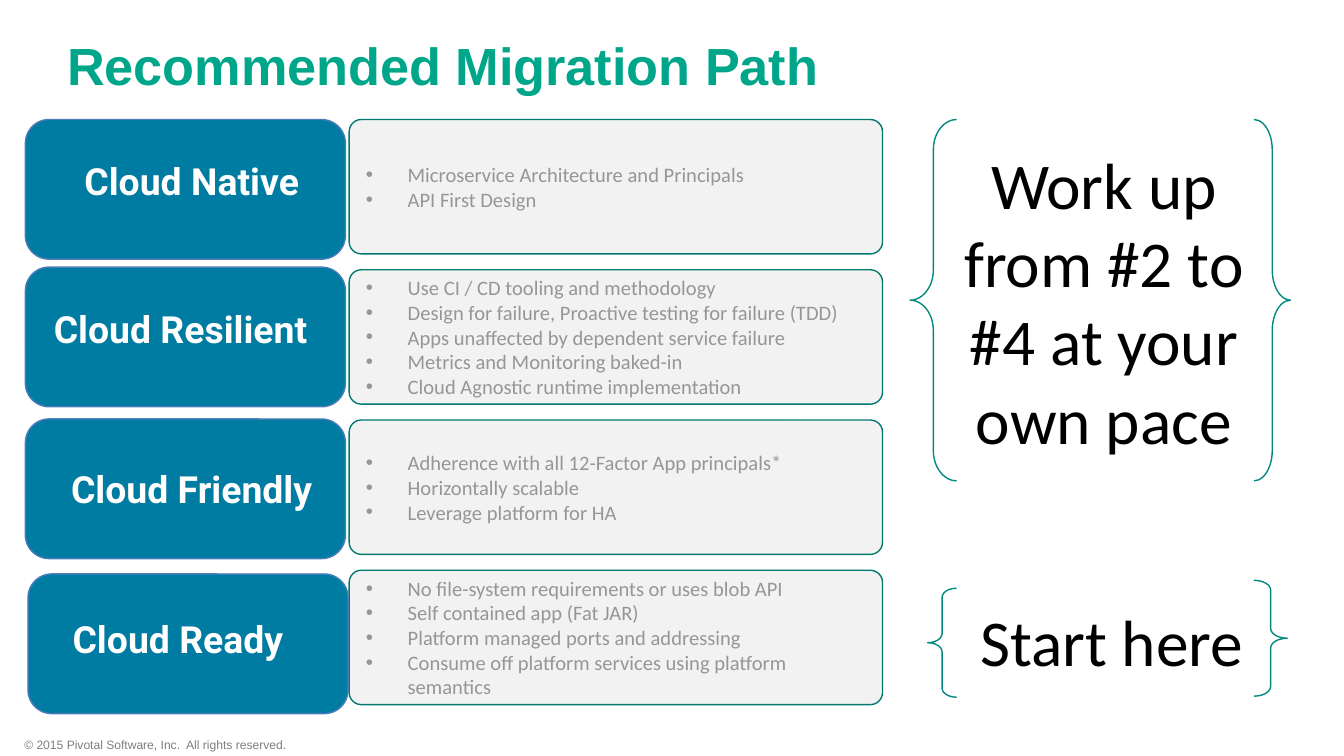
from pptx import Presentation
from pptx.dml.color import RGBColor
from pptx.enum.shapes import MSO_SHAPE as Shape
from pptx.enum.text import MSO_ANCHOR as Anchor, PP_ALIGN as Align
from pptx.oxml.ns import qn
from pptx.util import Cm, Pt
from lxml.etree import SubElement

TITLE = "Recommended Migration Path"
COPYRIGHT = "© 2015 Pivotal Software, Inc.  All rights reserved."

# Stage name, tile (left, top), label (left, top), practices
STAGES = [
    ("Cloud Native", (0.48, 2.26), (0.74, 2.31), [
        "Microservice Architecture and Principals",
        "API First Design",
    ]),
    ("Cloud Resilient", (0.48, 5.05), (0.53, 5.11), [
        "Use CI / CD tooling and methodology",
        "Design for failure, Proactive testing for failure (TDD)",
        "Apps unaffected by dependent service failure",
        "Metrics and Monitoring baked-in",
        "Cloud Agnostic runtime implementation",
    ]),
    ("Cloud Friendly", (0.48, 7.92), (0.74, 8.13), [
        "Adherence with all 12-Factor App principals*",
        "Horizontally scalable",
        "Leverage platform for HA",
    ]),
    ("Cloud Ready", (0.53, 10.85), (0.48, 10.97), [
        "No file-system requirements or uses blob API",
        "Self contained app (Fat JAR)",
        "Platform managed ports and addressing",
        "Consume off platform services using platform semantics",
    ]),
]

# Text and its box
ADVICE = [
    ("Work up from #2 to #4 at your own pace", (17.73, 2.59, 6.27, 6.17)),
    ("Start here", (18.21, 11.23, 5.61, 1.73)),
]

# Brace, box, curl
BRACES = [
    (Shape.LEFT_BRACE, (17.2, 2.26, 0.88, 6.83), 0.65),
    (Shape.RIGHT_BRACE, (23.7, 2.26, 0.69, 6.83), 0.83),
    (Shape.RIGHT_BRACE, (23.7, 10.97, 0.63, 2.19), 0.29),
    (Shape.LEFT_BRACE, (17.53, 11.12, 0.55, 2.06), 0.31),
]

CARD_LEFT, CARD_TOP, CARD_PITCH = 6.6, 2.26, 2.84
CARD_SIZE = (10.08, 2.54)
TILE_SIZE = (6.05, 2.64)
LABEL_SIZE = (5.77, 2.21)
BULLET_INDENT = Cm(0.79)


def color(hex_string):
    return RGBColor.from_string(hex_string)


def style_font(paragraph, name, size, hex_string, bold=False):
    font = paragraph.font
    font.name, font.size, font.bold = name, Pt(size), bold
    font.color.rgb = color(hex_string)


def add_text(slide, text, box, font, align=Align.LEFT, anchor=Anchor.TOP,
             margins=(0.25, 0.13)):
    """Add a one-paragraph text box; margins are (sides, top and bottom)."""
    frame = slide.shapes.add_textbox(*map(Cm, box)).text_frame
    frame.word_wrap = True
    frame.vertical_anchor = anchor
    frame.margin_left = frame.margin_right = Cm(margins[0])
    frame.margin_top = frame.margin_bottom = Cm(margins[1])
    paragraph = frame.paragraphs[0]
    paragraph.text = text
    paragraph.alignment = align
    style_font(paragraph, *font)


def add_outline(slide, kind, box, curve, line, fill=None):
    """Add a preset shape whose first adjustment is curve."""
    shape = slide.shapes.add_shape(kind, *map(Cm, box))
    shape.shadow.inherit = False
    shape.adjustments[0] = curve
    shape.line.color.rgb = color(line)
    shape.line.width = Pt(0.75)
    if fill:
        shape.fill.solid()
        shape.fill.fore_color.rgb = color(fill)
    else:
        shape.fill.background()
    return shape


def add_bullets(shape, items):
    frame = shape.text_frame
    frame.word_wrap = True
    frame.vertical_anchor = Anchor.MIDDLE
    for index, item in enumerate(items):
        paragraph = frame.add_paragraph() if index else frame.paragraphs[0]
        paragraph.text = item
        paragraph.alignment = Align.LEFT
        properties = paragraph._p.get_or_add_pPr()
        properties.set("marL", str(BULLET_INDENT))
        properties.set("indent", str(-BULLET_INDENT))
        SubElement(properties, qn("a:buFont"), typeface="Arial")
        SubElement(properties, qn("a:buChar"), char="•")
        style_font(paragraph, "Calibri", 11, "969696")


def main():
    presentation = Presentation()
    presentation.slide_width = Cm(25.4)
    presentation.slide_height = Cm(14.29)
    slide = presentation.slides.add_slide(presentation.slide_layouts[6])

    add_text(slide, COPYRIGHT, (0.46, 13.94, 6.32, 0.28),
             ("Arial", 6.5, "7F7F7F"), margins=(0, 0))
    add_text(slide, TITLE, (1.02, 0.48, 23.37, 1.5),
             ("Arial", 28, "00A689", True), anchor=Anchor.MIDDLE,
             margins=(0.25, 0.25))

    for text, box in ADVICE:
        add_text(slide, text, box, ("Calibri", 35, "000000"), Align.CENTER)
    for kind, box, curl in BRACES:
        add_outline(slide, kind, box, curl, "008881")

    for row, (name, tile, label, practices) in enumerate(STAGES):
        card_box = (CARD_LEFT, CARD_TOP + row * CARD_PITCH, *CARD_SIZE)
        card = add_outline(slide, Shape.ROUNDED_RECTANGLE, card_box, 0.09,
                           "00796E", "F2F2F2")
        add_bullets(card, practices)
        add_outline(slide, Shape.ROUNDED_RECTANGLE, (*tile, *TILE_SIZE), 0.17,
                    "4A7DBA", "007CA2")
        add_text(slide, name, (*label, *LABEL_SIZE),
                 ("Roboto", 20, "FFFFFF", True), Align.CENTER, Anchor.MIDDLE)

    presentation.save("out.pptx")


if __name__ == "__main__":
    main()
